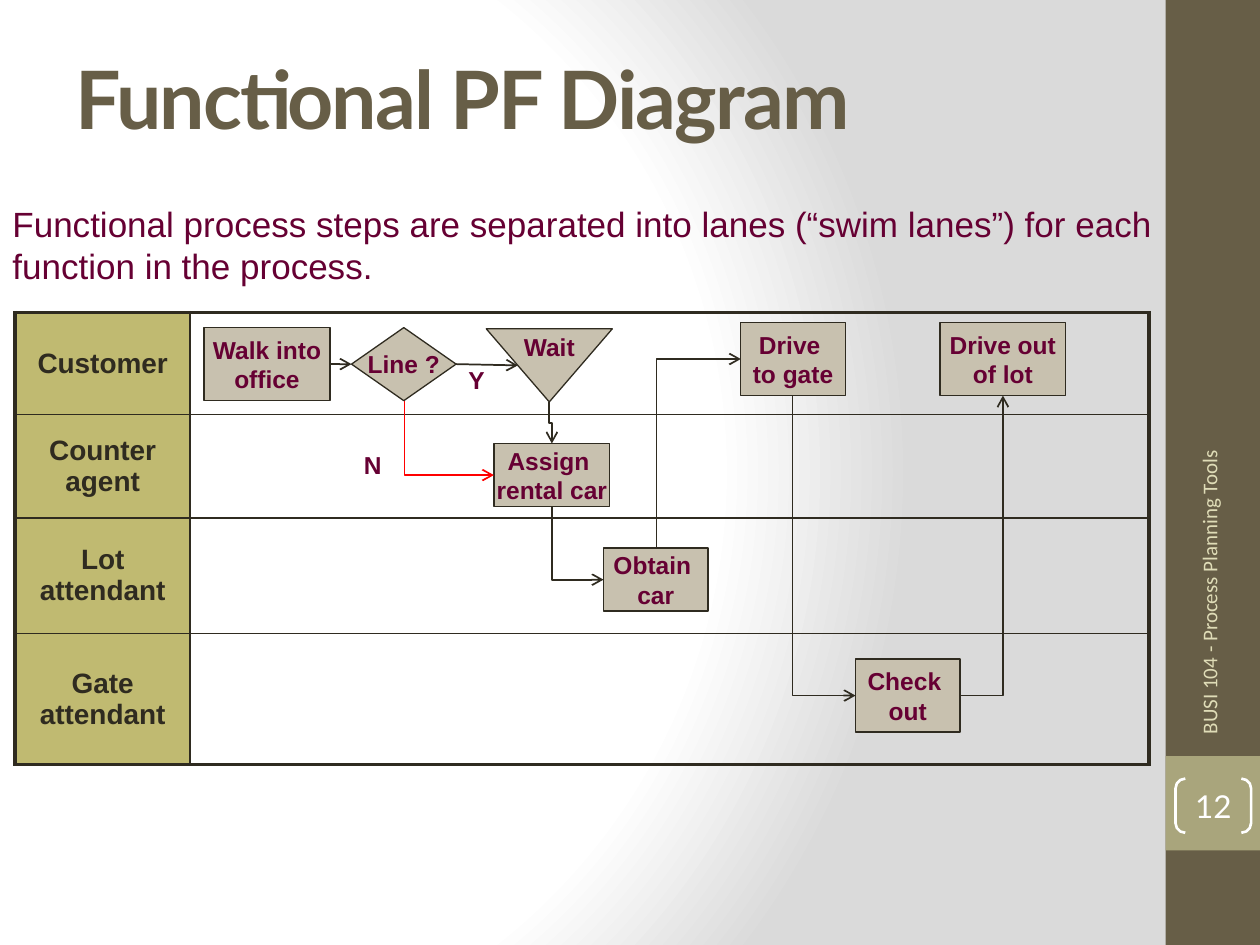
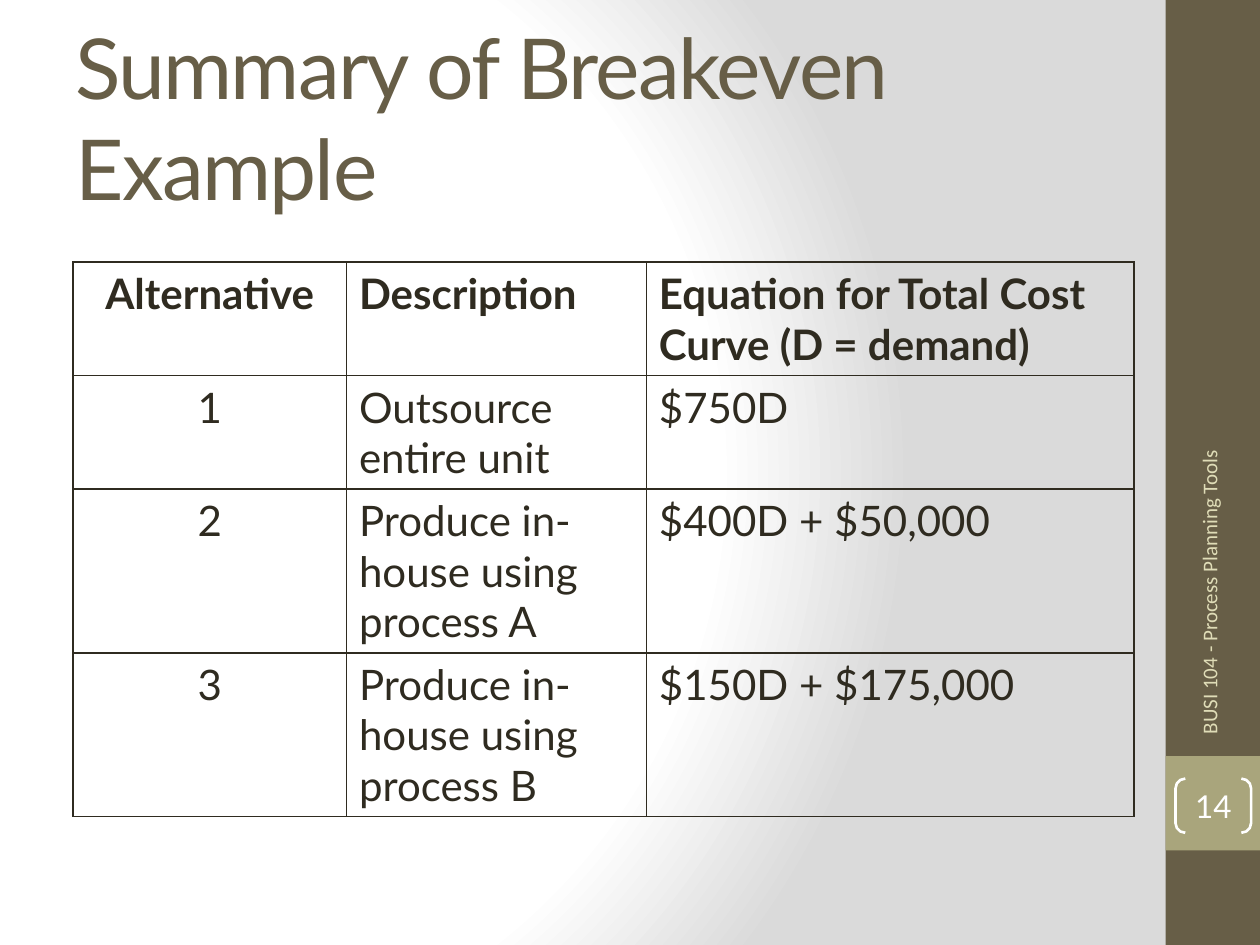
from dataclasses import dataclass

from lxml import etree
from pptx import Presentation
from pptx.dml.color import RGBColor
from pptx.enum.shapes import MSO_CONNECTOR, MSO_SHAPE
from pptx.enum.text import MSO_ANCHOR, PP_ALIGN
from pptx.oxml import parse_xml
from pptx.oxml.ns import nsdecls, qn
from pptx.util import Emu, Pt

PX = 9144


def px(n):
    return Emu(round(n * PX))


def rgb(value):
    return RGBColor.from_string(value)


@dataclass(frozen=True)
class TextStyle:
    size: int
    font: str
    color: str
    bold: bool = False
    spacing: int = 0


class Theme:
    ink = "2F2B20"
    brown = "675E47"
    olive = "A9A57C"
    lane = "C0BA71"
    step = "C8C1AF"
    white = "FFFFFF"
    red = "FF0000"
    glow = ((0, "FFFFFF"), (75, "FFFFFF"), (100, "DADADA"))
    diagram_title = TextStyle(46, "Lato", brown, True, -100)
    title = TextStyle(48, "Lato", brown, False, -100)
    footer = TextStyle(12, "Calibri", "DFDCB7")
    number = TextStyle(18, "Lato", white)
    intro = TextStyle(20, "Arial", "660033")
    label = TextStyle(14, "Arial", "660033", True)
    lane_name = TextStyle(16, "Arial", ink, True)
    cell = TextStyle(24, "Lato", ink)
    header = TextStyle(24, "Lato", ink, True)
    thin, line, bracket, frame = 0.75, 1, 1.5, 2.25


class Deck:
    def __init__(self, theme):
        self.theme = theme
        self.prs = Presentation()
        self.prs.slide_width, self.prs.slide_height = px(1000), px(750)
        self.s = None

    def slide(self, title, style, height, number):
        t = self.theme
        self.s = self.prs.slides.add_slide(self.prs.slide_layouts[6])
        self.background()
        self.shape(MSO_SHAPE.RECTANGLE, (925, 0, 75, 750), fill=t.brown)
        self.shape(MSO_SHAPE.RECTANGLE, (925, 600, 75, 75), fill=t.olive)
        self.text((50, 30, 833, height), title, style, anchor=MSO_ANCHOR.MIDDLE)
        sp = self.text((776, 389, 367, 40), "BUSI 104 - Process Planning Tools",
                       t.footer, anchor=MSO_ANCHOR.MIDDLE)
        sp.rotation = 270
        sp = self.shape(MSO_SHAPE.DOUBLE_BRACKET, (933, 618, 60, 43), number, t.number,
                        line=t.white, width=t.bracket)
        sp.adjustments[0] = 0.18
        tf = sp.text_frame
        tf.margin_left = tf.margin_right = tf.margin_top = tf.margin_bottom = 0

    def background(self):
        stops = "".join(f'<a:gs pos="{pos * 1000}"><a:srgbClr val="{color}"/></a:gs>'
                        for pos, color in self.theme.glow)
        bg = parse_xml(
            f'<p:bg {nsdecls("p", "a")}><p:bgPr><a:gradFill rotWithShape="1">'
            f'<a:gsLst>{stops}</a:gsLst><a:path path="circle">'
            '<a:fillToRect l="20000" t="50000" r="100000" b="50000"/></a:path>'
            '</a:gradFill><a:effectLst/></p:bgPr></p:bg>')
        self.s.element.cSld.insert(0, bg)

    def fill_text(self, tf, text, style, align=None):
        tf.text = text
        for p in tf.paragraphs:
            p.alignment = align
            for r in p.runs:
                r.font.size, r.font.name, r.font.bold = Pt(style.size), style.font, style.bold
                r.font.color.rgb = rgb(style.color)
                if style.spacing:
                    r._r.get_or_add_rPr().set("spc", str(style.spacing))

    def text(self, box, text, style, anchor=MSO_ANCHOR.TOP):
        sp = self.s.shapes.add_textbox(*map(px, box))
        tf = sp.text_frame
        tf.word_wrap = True
        tf.vertical_anchor = anchor
        self.fill_text(tf, text, style)
        return sp

    def shape(self, kind, box, text=None, style=None, fill=None, line=None, width=0):
        sp = self.s.shapes.add_shape(kind, *map(px, box))
        sp.shadow.inherit = False
        if fill:
            sp.fill.solid()
            sp.fill.fore_color.rgb = rgb(fill)
        else:
            sp.fill.background()
        if line:
            sp.line.color.rgb = rgb(line)
            sp.line.width = Pt(width)
        else:
            sp.line.fill.background()
        if text:
            tf = sp.text_frame
            tf.word_wrap = False
            tf.vertical_anchor = MSO_ANCHOR.MIDDLE
            self.fill_text(tf, text, style, PP_ALIGN.CENTER)
        return sp

    def step(self, box, text, kind=MSO_SHAPE.RECTANGLE):
        t = self.theme
        self.shape(kind, box, text, t.label, t.step, t.ink, t.thin)

    def arrow(self, start, end, color=None, preset="line", vertical=False):
        (x1, y1), (x2, y2) = start, end
        if vertical:
            cx, cy, dx, dy = (x1 + x2) / 2, (y1 + y2) / 2, x2 - x1, y2 - y1
            x1, y1, x2, y2 = cx - dy / 2, cy + dx / 2, cx + dy / 2, cy - dx / 2
        kind = MSO_CONNECTOR.STRAIGHT if preset == "line" else MSO_CONNECTOR.ELBOW
        c = self.s.shapes.add_connector(kind, px(x1), px(y1), px(x2), px(y2))
        c.line.color.rgb = rgb(color or self.theme.ink)
        c.line.width = Pt(self.theme.line)
        sp_pr = c._element.spPr
        sp_pr.find(qn("a:prstGeom")).set("prst", preset)
        if vertical:
            sp_pr.find(qn("a:xfrm")).set("rot", "5400000")
        etree.SubElement(sp_pr.find(qn("a:ln")), qn("a:tailEnd"), type="arrow")
        etree.SubElement(sp_pr, qn("a:effectLst"))

    def table(self, origin, cols, rows, cells, frame):
        box = (*origin, sum(cols), sum(rows))
        table = self.s.shapes.add_table(len(rows), len(cols), *map(px, box)).table
        table.first_row = table.horz_banding = False
        for column, width in zip(table.columns, cols):
            column.width = px(width)
        for row, height in zip(table.rows, rows):
            row.height = px(height)
        for i, texts in enumerate(cells):
            for j, (text, style, align, anchor, fill) in enumerate(texts):
                cell = table.cell(i, j)
                cell.vertical_anchor = anchor
                self.fill_text(cell.text_frame, text, style, align)
                if fill:
                    cell.fill.solid()
                    cell.fill.fore_color.rgb = rgb(fill)
                else:
                    cell.fill.background()
                outer = (j == 0, j == len(cols) - 1, i == 0, i == len(rows) - 1)
                self.borders(cell, [frame if edge else self.theme.line for edge in outer])

    def borders(self, cell, widths):
        tc_pr = cell._tc.get_or_add_tcPr()
        for k, (side, width) in enumerate(zip("LRTB", widths)):
            tc_pr.insert(k, parse_xml(
                f'<a:ln{side} {nsdecls("a")} w="{int(Pt(width))}"><a:solidFill>'
                f'<a:srgbClr val="{self.theme.ink}"/></a:solidFill></a:ln{side}>'))


def functional_diagram(deck):
    t = deck.theme
    deck.slide("Functional PF Diagram", t.diagram_title, 95, "12")
    names = ("Customer", "Counter agent", "Lot attendant", "Gate attendant")
    lanes = [[(name, t.lane_name, PP_ALIGN.CENTER, MSO_ANCHOR.MIDDLE, t.lane),
              ("", t.lane_name, None, MSO_ANCHOR.TOP, None)] for name in names]
    deck.table((12, 248), (139, 761), (81, 82, 92, 104), lanes, t.frame)
    deck.text((0, 156, 975, 71),
              "Functional process steps are separated into lanes (“swim lanes”) for each "
              "\vfunction in the process.", t.intro)

    deck.step((162, 260, 100, 58), "Walk into\noffice")
    deck.step((386, 261, 100, 58), "Wait", MSO_SHAPE.FLOWCHART_MERGE)
    deck.step((279, 260, 83, 58), "Line ?", MSO_SHAPE.FLOWCHART_DECISION)
    deck.step((392, 352, 92, 50), "Assign \nrental car")
    deck.step((479, 435, 83, 50), "Obtain \ncar")
    deck.step((588, 256, 83, 58), "Drive \nto gate")
    deck.step((679, 523, 83, 58), "Check \nout")
    deck.step((746, 256, 100, 58), "Drive out\nof lot")
    deck.text((362, 285, 33, 33), "Y", t.label)
    deck.text((279, 352, 33, 33), "N", t.label)

    deck.arrow((262, 289), (279, 289))
    deck.arrow((362, 289), (411, 290))
    deck.arrow((436, 319), (438, 352), preset="bentConnector3", vertical=True)
    deck.arrow((762, 552), (796, 314), preset="bentConnector2")
    for start, end, color in (((521, 435), (588, 285), t.ink),
                              ((629, 314), (679, 552), t.ink),
                              ((438, 402), (479, 460), t.ink),
                              ((321, 318), (392, 377), t.red)):
        deck.arrow(start, end, color, "bentConnector2", vertical=True)


def breakeven_summary(deck):
    t = deck.theme
    deck.slide("Summary of Breakeven Example", t.title, 125, "14")
    rows = (("Alternative", "Description", "Equation for Total Cost Curve (D = demand)"),
            ("1", "Outsource entire unit", "$750D"),
            ("2", "Produce in-house using process A", "$400D + $50,000"),
            ("3", "Produce in-house using process B", "$150D + $175,000"))
    aligns = (PP_ALIGN.CENTER, None, None)
    cells = [[(text, t.cell if i else t.header, align, MSO_ANCHOR.TOP, None)
              for text, align in zip(row, aligns)] for i, row in enumerate(rows)]
    deck.table((58, 208), (217, 238, 387), (90, 90, 130, 130), cells, t.line)


def main():
    deck = Deck(Theme())
    functional_diagram(deck)
    breakeven_summary(deck)
    deck.prs.save("out.pptx")


if __name__ == "__main__":
    main()
